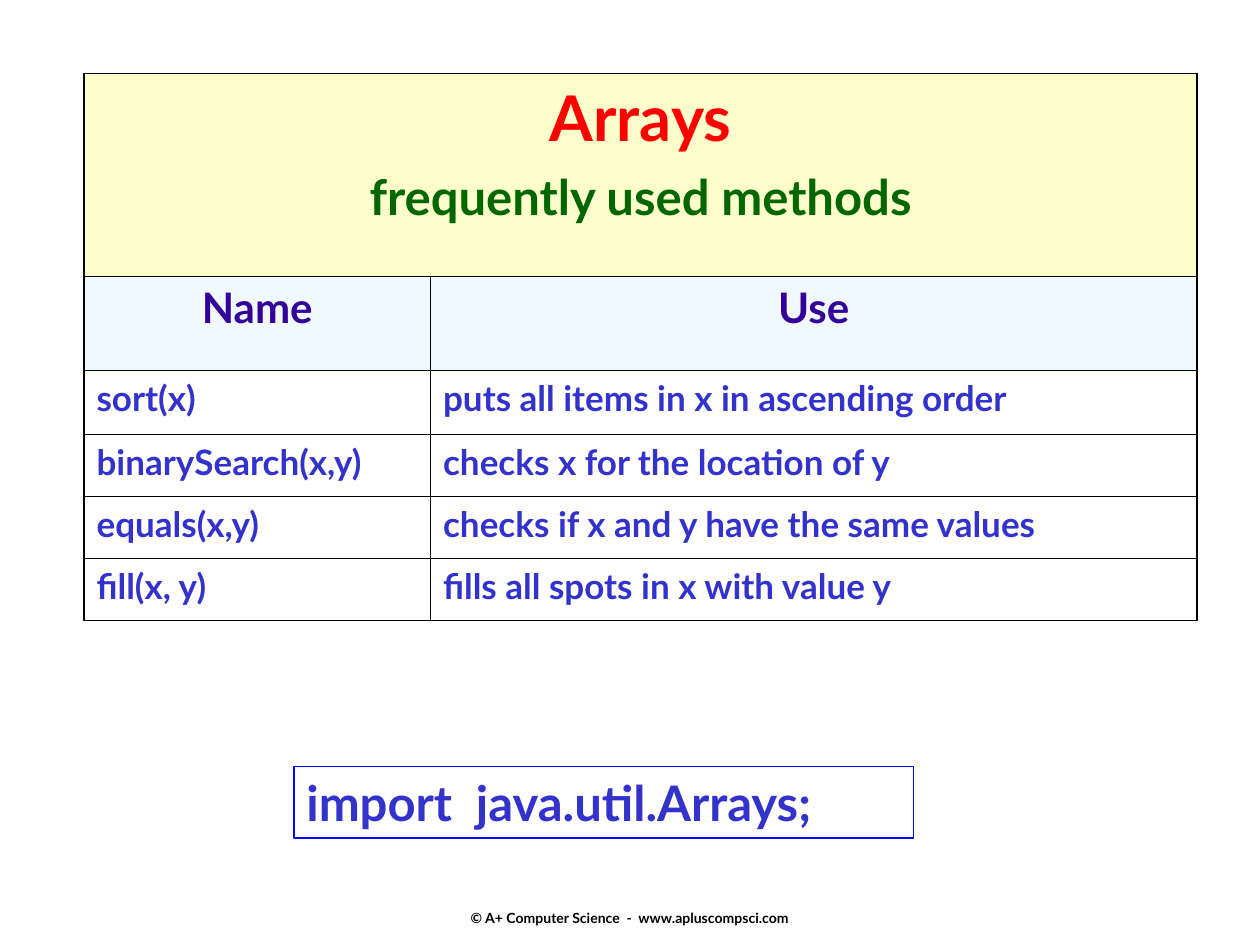
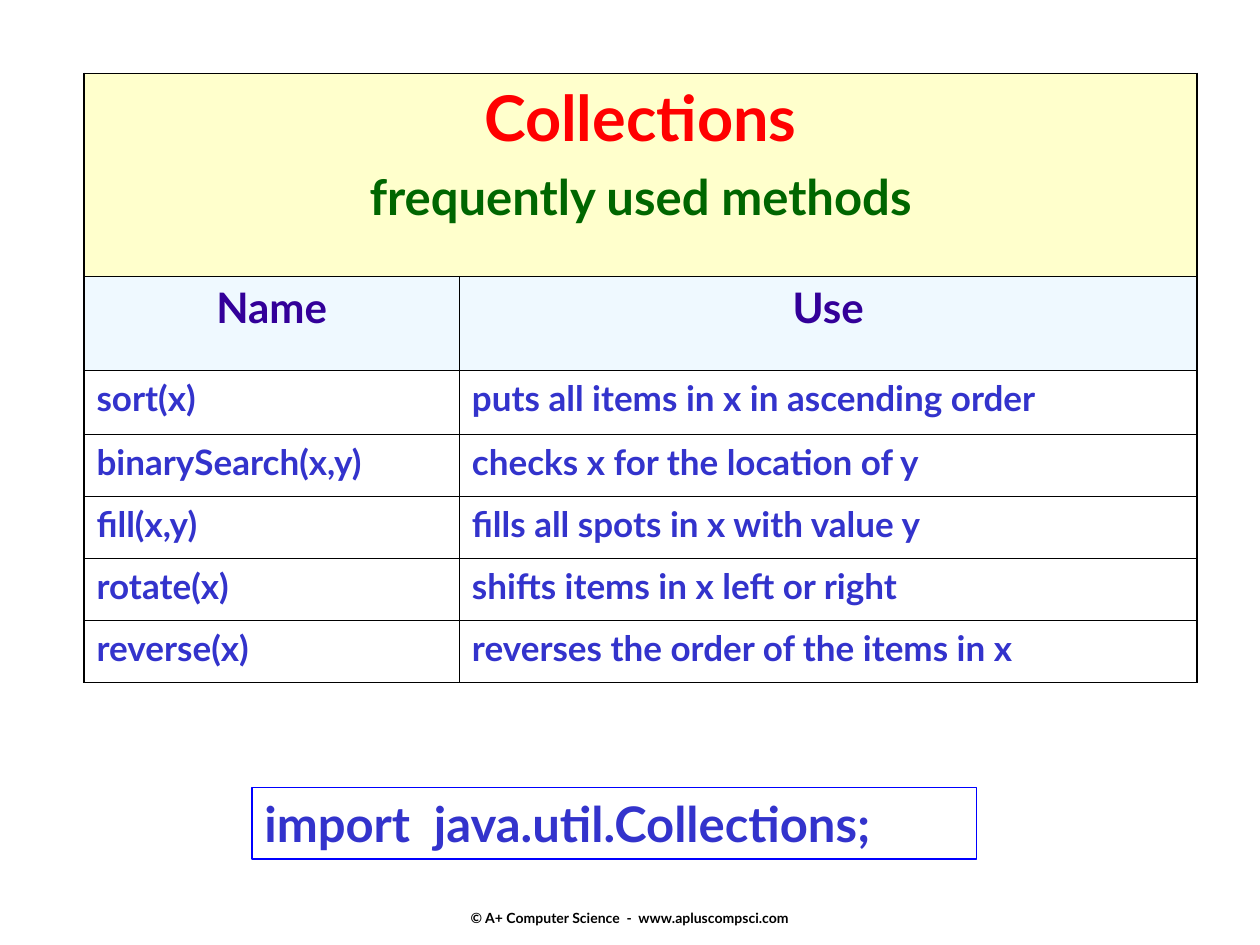
from collections import namedtuple

from lxml.etree import SubElement
from pptx import Presentation
from pptx.dml.color import RGBColor
from pptx.enum.shapes import MSO_SHAPE as Shape
from pptx.enum.text import MSO_ANCHOR as Anchor, PP_ALIGN as Align
from pptx.oxml import parse_xml
from pptx.oxml.ns import nsdecls, qn
from pptx.util import Inches, Pt

BLACK = RGBColor(0x00, 0x00, 0x00)
RED = RGBColor(0xFF, 0x00, 0x00)
GREEN = RGBColor(0x00, 0x66, 0x00)
PURPLE = RGBColor(0x33, 0x00, 0x99)
INDIGO = RGBColor(0x33, 0x33, 0xCC)
BLUE = RGBColor(0x00, 0x00, 0xFF)
CREAM = RGBColor(0xFF, 0xFF, 0xCC)
ICE = RGBColor(0xE1, 0xF4, 0xFF)

FONT = "Lato"
COLUMNS, ROWS = 120, 90
UNIT = Inches(10) // COLUMNS
OUTER, INNER = 1.08, 0.45
TITLE_ROW, HEADING_ROW, FIRST_ROW, METHOD_ROW = 19.3, 9, 6.1, 5.9

Box = namedtuple("Box", "left top width height")
TABLE = Box(8, 7, 106, 0)
FOOTER = Box(41, 82, 38, 6.2)

SLIDES = [
    {
        "title": "Arrays",
        "name_width": 33,
        "methods": [
            ("sort(x)", "puts all items in x in ascending order"),
            ("binarySearch(x,y)", "checks x for the location of y"),
            ("equals(x,y)", "checks if x and y have the same values"),
            ("fill(x, y)", "fills all spots in x with value y"),
        ],
        "import_box": Box(28, 73, 59, 6.8),
        "import_line": "import  java.util.Arrays;",
    },
    {
        "title": "Collections",
        "name_width": 35.75,
        "methods": [
            ("sort(x)", "puts all items in x in ascending order"),
            ("binarySearch(x,y)", "checks x for the location of y"),
            ("fill(x,y)", "fills all spots in x with value y"),
            ("rotate(x)", "shifts items in x left or right"),
            ("reverse(x)", "reverses the order of the items in x"),
        ],
        "import_box": Box(24, 75, 69, 6.8),
        "import_line": "import  java.util.Collections;",
    },
]


def grid(*cells):
    return [int(cell * UNIT) for cell in cells]


def write(para, text, size, color, align=Align.LEFT):
    para.alignment = align
    span = para.add_run()
    span.text = text
    span.font.name = FONT
    span.font.size = Pt(size)
    span.font.bold = True
    span.font.color.rgb = color


def set_borders(cell, left, right, top, bottom):
    widths = {"lnL": left, "lnR": right, "lnT": top, "lnB": bottom}
    properties = cell._tc.get_or_add_tcPr()
    for position, (side, width) in enumerate(widths.items()):
        line = parse_xml(
            f'<a:{side} {nsdecls("a")} w="{Pt(width)}"><a:solidFill>'
            f'<a:srgbClr val="{BLACK}"/></a:solidFill></a:{side}>'
        )
        properties.insert(position, line)


def fill_cell(cell, color=None, alpha=100):
    if color is None:
        cell.fill.background()
        return
    cell.fill.solid()
    cell.fill.fore_color.rgb = color
    if alpha < 100:
        tint = cell._tc.tcPr.find(".//" + qn("a:srgbClr"))
        SubElement(tint, qn("a:alpha"), val=str(alpha * 1000))


def add_title_cell(table, title):
    cell = table.cell(0, 0)
    cell.merge(table.cell(0, 1))
    fill_cell(cell, CREAM)
    frame = cell.text_frame
    write(frame.paragraphs[0], title, 36, RED, Align.CENTER)
    para = frame.add_paragraph()
    para.space_before = Pt(7)
    write(para, "frequently used methods", 28, GREEN, Align.CENTER)
    for part in table.rows[0].cells:
        set_borders(part, OUTER, OUTER, OUTER, INNER)


def add_method_table(page, box, title, name_width, methods):
    heights = [TITLE_ROW, HEADING_ROW, FIRST_ROW]
    heights += [METHOD_ROW] * (len(methods) - 1)
    area = box._replace(height=sum(heights))
    table = page.shapes.add_table(len(heights), 2, *grid(*area)).table
    table.first_row = table.horz_banding = False
    for column, width in zip(table.columns, grid(name_width, box.width - name_width)):
        column.width = width
    for row, height in zip(table.rows, grid(*heights)):
        row.height = height

    add_title_cell(table, title)
    for index, texts in enumerate([("Name", "Use"), *methods], start=1):
        heading = index == 1
        bottom = OUTER if index == len(methods) + 1 else INNER
        for column, text in enumerate(texts):
            cell = table.cell(index, column)
            para = cell.text_frame.paragraphs[0]
            if heading:
                fill_cell(cell, ICE, 50)
                write(para, text, 24, PURPLE, Align.CENTER)
            else:
                fill_cell(cell)
                write(para, text, 20, INDIGO)
            sides = (OUTER, INNER) if column == 0 else (INNER, OUTER)
            set_borders(cell, *sides, INNER, bottom)


def add_import_box(page, box, text):
    shape = page.shapes.add_shape(Shape.RECTANGLE, *grid(*box))
    shape.shadow.inherit = False
    shape.fill.background()
    shape.line.color.rgb = BLUE
    shape.line.width = Pt(1)
    frame = shape.text_frame
    frame.word_wrap = True
    frame.vertical_anchor = Anchor.TOP
    write(frame.paragraphs[0], text, 28, INDIGO)


def add_footer(page, box):
    frame = page.shapes.add_textbox(*grid(*box)).text_frame
    frame.word_wrap = False
    frame.vertical_anchor = Anchor.BOTTOM
    frame.margin_bottom = 0
    text = "© A+ Computer Science  -  www.apluscompsci.com"
    write(frame.paragraphs[0], text, 8, BLACK, Align.CENTER)


def add_method_slide(deck, content):
    page = deck.slides.add_slide(deck.slide_layouts[6])
    add_footer(page, FOOTER)
    add_method_table(
        page, TABLE, content["title"], content["name_width"], content["methods"]
    )
    add_import_box(page, content["import_box"], content["import_line"])


def main():
    deck = Presentation()
    deck.slide_width, deck.slide_height = grid(COLUMNS, ROWS)
    for content in SLIDES:
        add_method_slide(deck, content)
    deck.save("out.pptx")


if __name__ == "__main__":
    main()
